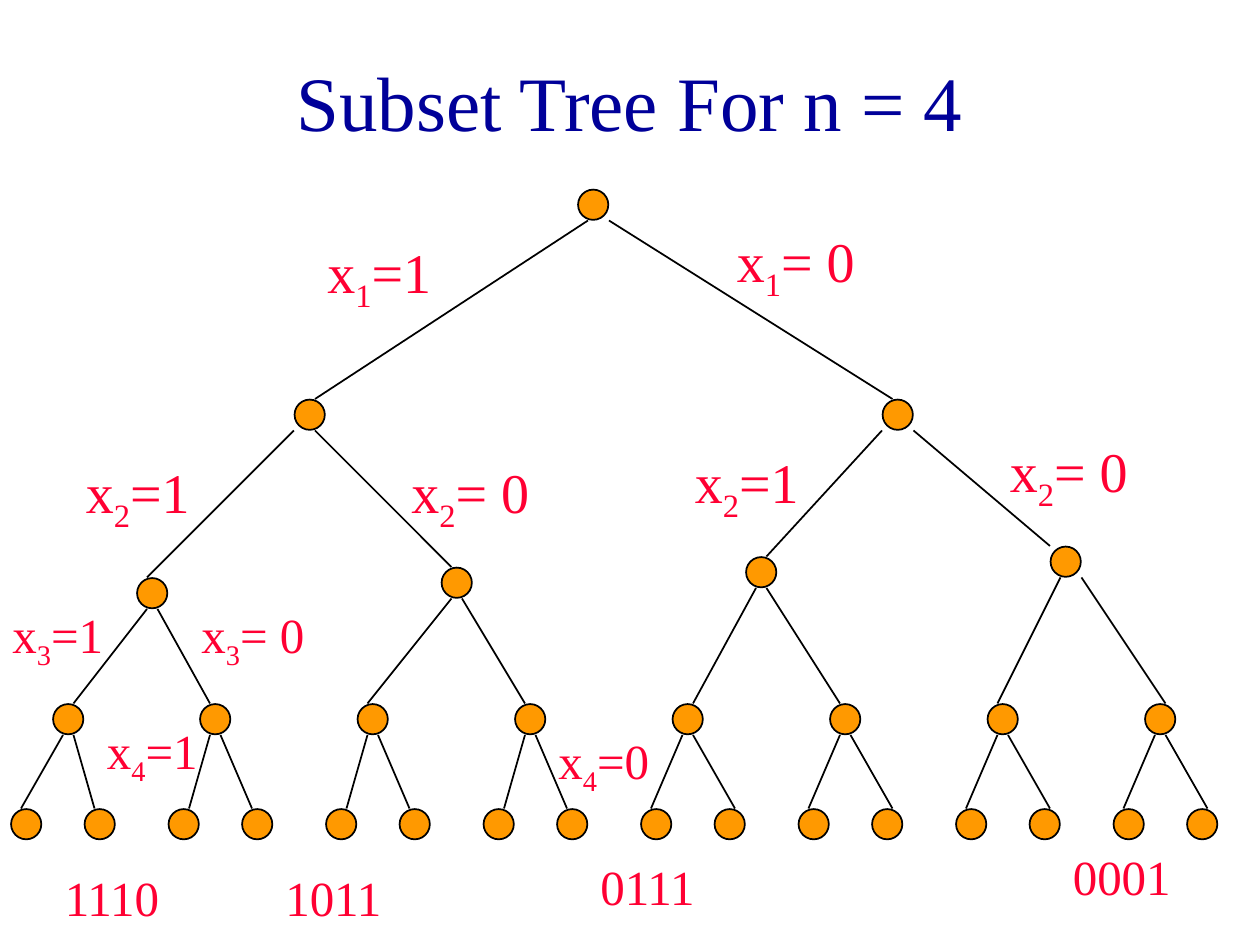
from dataclasses import dataclass

from lxml.etree import SubElement
from pptx import Presentation
from pptx.dml.color import RGBColor
from pptx.enum.shapes import MSO_CONNECTOR as Connector, MSO_SHAPE as Shape
from pptx.enum.text import MSO_ANCHOR as Anchor, MSO_AUTO_SIZE as AutoSize, PP_ALIGN as Align
from pptx.oxml.ns import qn
from pptx.util import Cm, Pt

GRID = 2.54 / 12
NODE_CELL = 3
NODE_INSET = 0.06
BLACK, ORANGE, RED, NAVY = "000000", "FF9900", "FF0033", "000099"


@dataclass
class Node:
    x: float
    y: float
    arrival: float = 1
    exits: tuple[float, float] = (1, 2)


@dataclass
class Label:
    x: float
    y: float
    text: str
    subscript: str = ""
    rest: str = ""
    size: int = 28
    width: float = 14
    height: float = 7.5


def grid(units: float) -> Cm:
    return Cm(units * GRID)


def color(value: str) -> RGBColor:
    return RGBColor.from_string(value)


def set_values(target, values: dict) -> None:
    for name, value in values.items():
        setattr(target, name, value)


def set_font(font, size: int, value: str) -> None:
    set_values(font, {"name": "Times New Roman", "size": Pt(size), "bold": False})
    font.color.rgb = color(value)


def set_line(line) -> None:
    line.color.rgb = color(BLACK)
    line.width = Pt(1)


def draw_node(slide, node: Node) -> None:
    size = grid(NODE_CELL - 2 * NODE_INSET)
    shape = slide.shapes.add_shape(
        Shape.OVAL, grid(node.x + NODE_INSET), grid(node.y + NODE_INSET), size, size)
    shape.shadow.inherit = False
    shape.fill.solid()
    shape.fill.fore_color.rgb = color(ORANGE)
    set_line(shape.line)


def draw_edge(slide, parent: Node, child: Node, side: int) -> None:
    connector = slide.shapes.add_connector(
        Connector.STRAIGHT,
        grid(parent.x + parent.exits[side]), grid(parent.y + NODE_CELL),
        grid(child.x + child.arrival), grid(child.y))
    set_line(connector.line)
    SubElement(connector._element.spPr, qn("a:effectLst"))


def draw_label(slide, label: Label) -> None:
    box = slide.shapes.add_textbox(
        grid(label.x), grid(label.y), grid(label.width), grid(label.height))
    set_values(box.text_frame, {"word_wrap": True, "auto_size": AutoSize.SHAPE_TO_FIT_TEXT})
    paragraph = box.text_frame.paragraphs[0]
    for text, baseline in ((label.text, None), (label.subscript, "-25000"), (label.rest, None)):
        if text:
            run = paragraph.add_run()
            run.text = text
            set_font(run.font, label.size, RED)
            if baseline:
                run.font._element.set("baseline", baseline)


def draw_title(slide, text: str) -> None:
    title = slide.shapes.title
    set_values(title, {"left": Cm(1.9), "top": Cm(0.43), "width": Cm(21.6), "height": Cm(3.18)})
    title.text_frame.text = text
    title.text_frame.vertical_anchor = Anchor.MIDDLE
    paragraph = title.text_frame.paragraphs[0]
    paragraph.alignment = Align.CENTER
    set_font(paragraph.runs[0].font, 44, NAVY)


def branch(x: float, y: float, level: str, value: str) -> Label:
    return Label(x, y, "x", level, value, size=32, height=8.5)


def twig(x: float, y: float, level: str, value: str) -> Label:
    return Label(x, y, "x", level, value)


def code(x: float, y: float, text: str) -> Label:
    return Label(x, y, text, width=12, height=6.8)


UPPER_NODES = [
    Node(55, 18, exits=(1, 3)),
    Node(28, 38, 2, (0, 2)), Node(84, 38, 1, (0, 3)),
    Node(13, 55), Node(42, 54), Node(71, 53, 2), Node(100, 52, 0, (1, 3)),
]
INNER_NODES = [
    Node(max(5, 4 + 15 * index), 67, arrival)
    for index, arrival in enumerate((2, 1, 1, 1, 2, 1, 1, 2))
]
LEAVES = [
    Node(1 + 15 * (index // 2) + 7 * (index % 2), 77, arrival)
    for index, arrival in enumerate((1, 1, 2, 1, 2, 1, 2, 1, 1, 2, 1, 2, 1, 2, 1, 2))
]
LABELS = [
    branch(30, 22, "1", "=1"), branch(69, 21, "1", "= 0"),
    branch(7, 43, "2", "=1"), branch(38, 43, "2", "= 0"),
    branch(65, 42, "2", "=1"), branch(95, 41, "2", "= 0"),
    twig(0, 57, "3", "=1"), twig(18, 57, "3", "= 0"),
    twig(9, 68, "4", "=1"), twig(52, 69, "4", "=0"),
    code(5, 82, "1110"), code(26, 82, "1011"),
    code(56, 81, "0111"), code(101, 80, "0001"),
]


def main() -> None:
    presentation = Presentation()
    set_values(presentation, {"slide_width": Cm(25.4), "slide_height": Cm(19.05)})
    slide = presentation.slides.add_slide(presentation.slide_layouts[5])
    draw_title(slide, "Subset Tree For n = 4")
    nodes = UPPER_NODES + INNER_NODES + LEAVES
    for index, node in enumerate(nodes):
        if index:
            draw_edge(slide, nodes[(index - 1) // 2], node, (index - 1) % 2)
        draw_node(slide, node)
    for label in LABELS:
        draw_label(slide, label)
    presentation.save("out.pptx")


if __name__ == "__main__":
    main()
